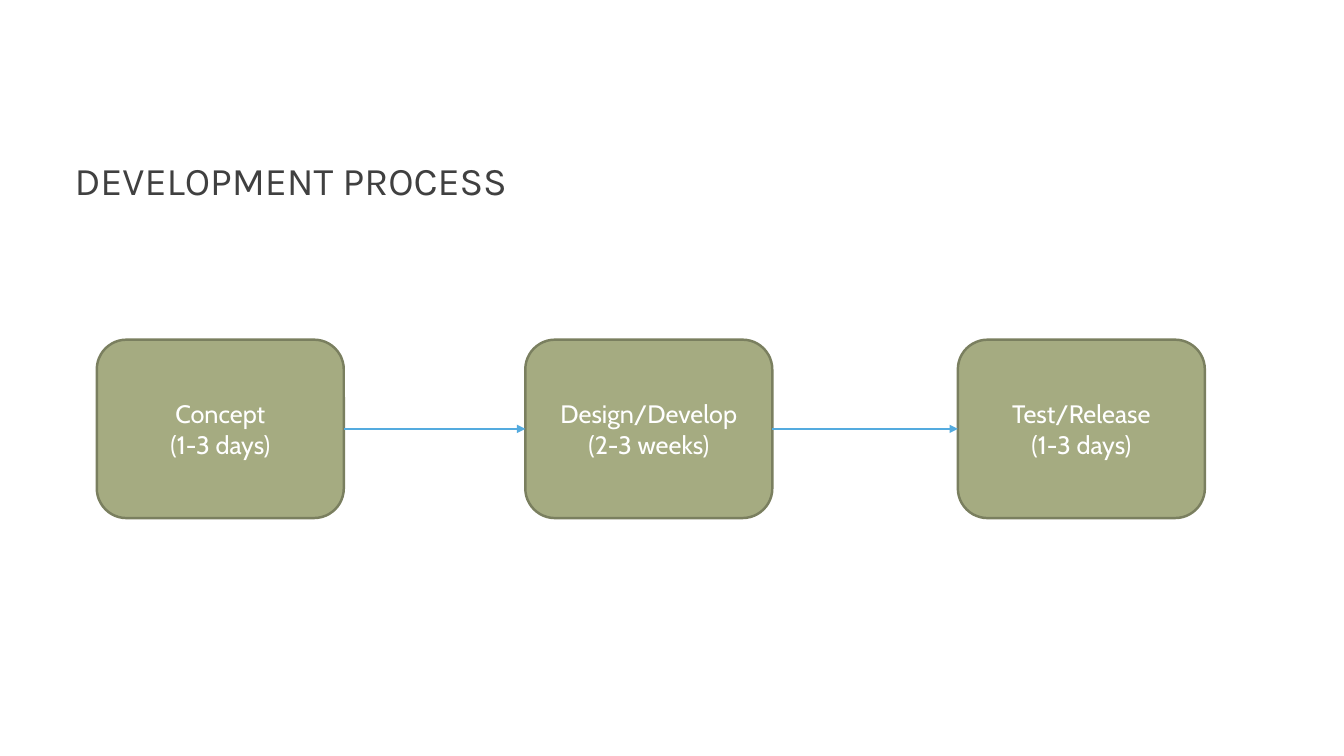
from itertools import pairwise

from lxml.etree import SubElement as Sub
from pptx import Presentation
from pptx.dml.color import RGBColor
from pptx.enum.shapes import MSO_CONNECTOR as Link, MSO_SHAPE as Shape
from pptx.enum.text import MSO_ANCHOR as Anchor, MSO_AUTO_SIZE as Fit, PP_ALIGN as Align
from pptx.oxml.ns import qn
from pptx.util import Inches, Pt

GRAY = RGBColor(0x40, 0x40, 0x40)
SAGE = RGBColor(0xA5, 0xAB, 0x81)
OLIVE = RGBColor(0x7A, 0x7F, 0x5F)
BLUE = RGBColor(0x54, 0xAB, 0xDF)
WHITE = RGBColor(0xFF, 0xFF, 0xFF)

STEPS = [
    (0, "Concept\n(1-3 days)"),
    (4.25, "Design/Develop\n(2-3 weeks)"),
    (8.54, "Test/Release\n(1-3 days)"),
]


def write(shape, text, font, size, color, align=Align.LEFT, anchor=Anchor.MIDDLE):
    """Fill a shape with formatted text, one paragraph a line."""
    frame = shape.text_frame
    frame.text = text
    frame.word_wrap = True
    frame.auto_size = Fit.NONE
    frame.vertical_anchor = anchor
    for para in frame.paragraphs:
        para.alignment = align
        para.font.name = font
        para.font.size = Pt(size)
        para.font.color.rgb = color


def head(slide, left, top, width, height):
    """Place the slide title in the given box."""
    title = slide.shapes.title
    title.left, title.top = Inches(left), Inches(top)
    title.width, title.height = Inches(width), Inches(height)
    write(title, "DEVELOPMENT PROCESS", "Karla", 28, GRAY, anchor=Anchor.BOTTOM)


def step(slide, text, left, top, width, height):
    """Draw one rounded step and return it."""
    box = slide.shapes.add_shape(
        Shape.ROUNDED_RECTANGLE, Inches(left), Inches(top), Inches(width), Inches(height)
    )
    box.shadow.inherit = False
    box.fill.solid()
    box.fill.fore_color.rgb = SAGE
    box.line.color.rgb = OLIVE
    box.line.width = Pt(1.75)
    write(box, text, "Cabin", 18, WHITE, align=Align.CENTER)
    return box


def arrow(slide, start, end):
    """Join the right side of one step to the left side of the next."""
    line = slide.shapes.add_connector(Link.STRAIGHT, 0, 0, 0, 0)
    line.begin_connect(start, 3)
    line.end_connect(end, 1)
    line.line.color.rgb = BLUE
    line.line.width = Pt(1)
    Sub(line.line._get_or_add_ln(), qn("a:tailEnd"), type="triangle")
    Sub(line._element.spPr, qn("a:effectLst"))


def flow(slide, left, top, width, height):
    """Lay out the steps from left to right and link them."""
    boxes = [step(slide, text, left + dx, top, width - STEPS[-1][0], height) for dx, text in STEPS]
    for start, end in pairwise(boxes):
        arrow(slide, start, end)


def main():
    """Build and save the slide."""
    deck = Presentation()
    deck.slide_width, deck.slide_height = Inches(13.33), Inches(7.5)
    slide = deck.slides.add_slide(deck.slide_layouts[5])
    head(slide, 0.64, 0.77, 12.06, 1.3)
    flow(slide, 0.96, 3.37, 10.99, 1.77)
    deck.save("out.pptx")


if __name__ == "__main__":
    main()
